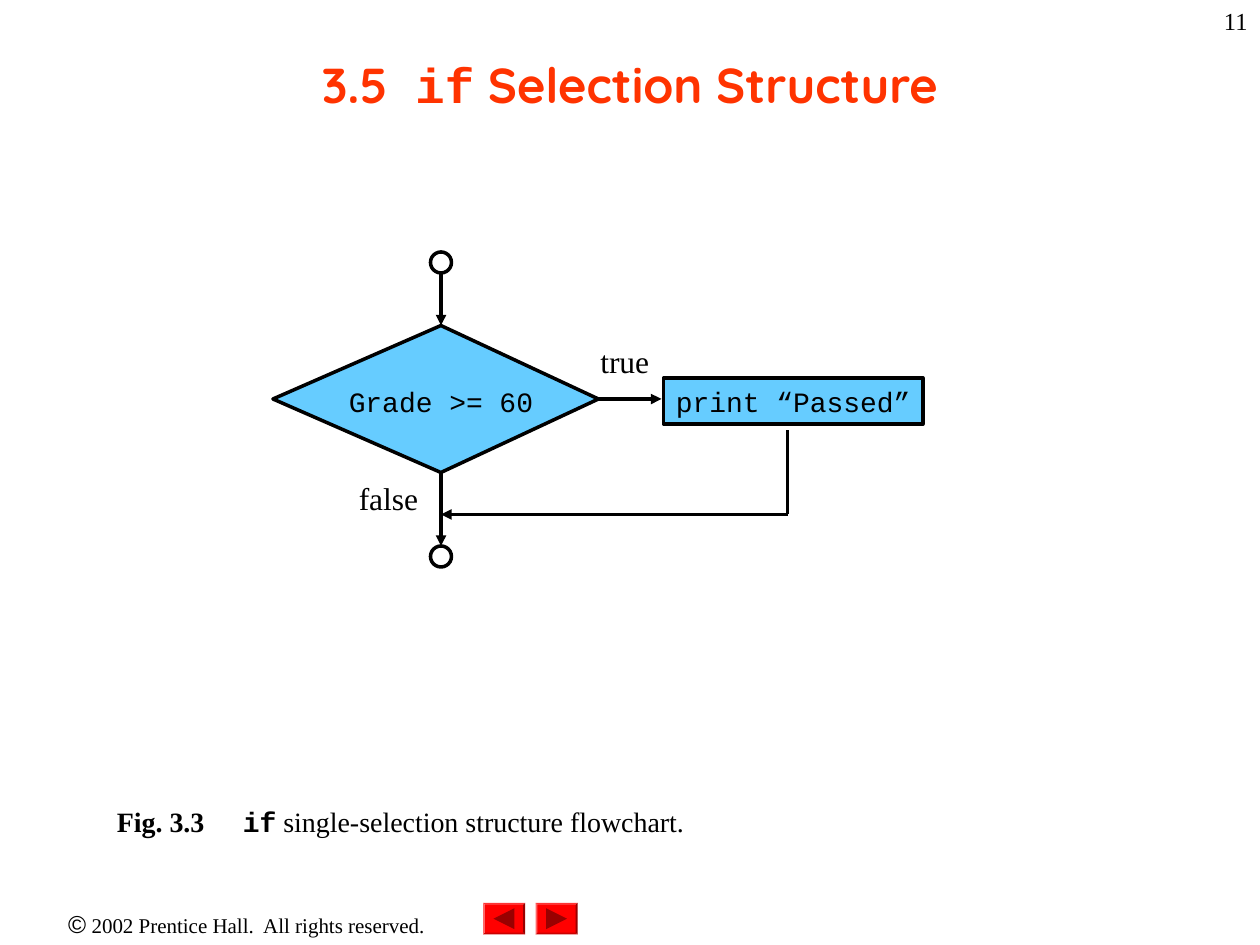
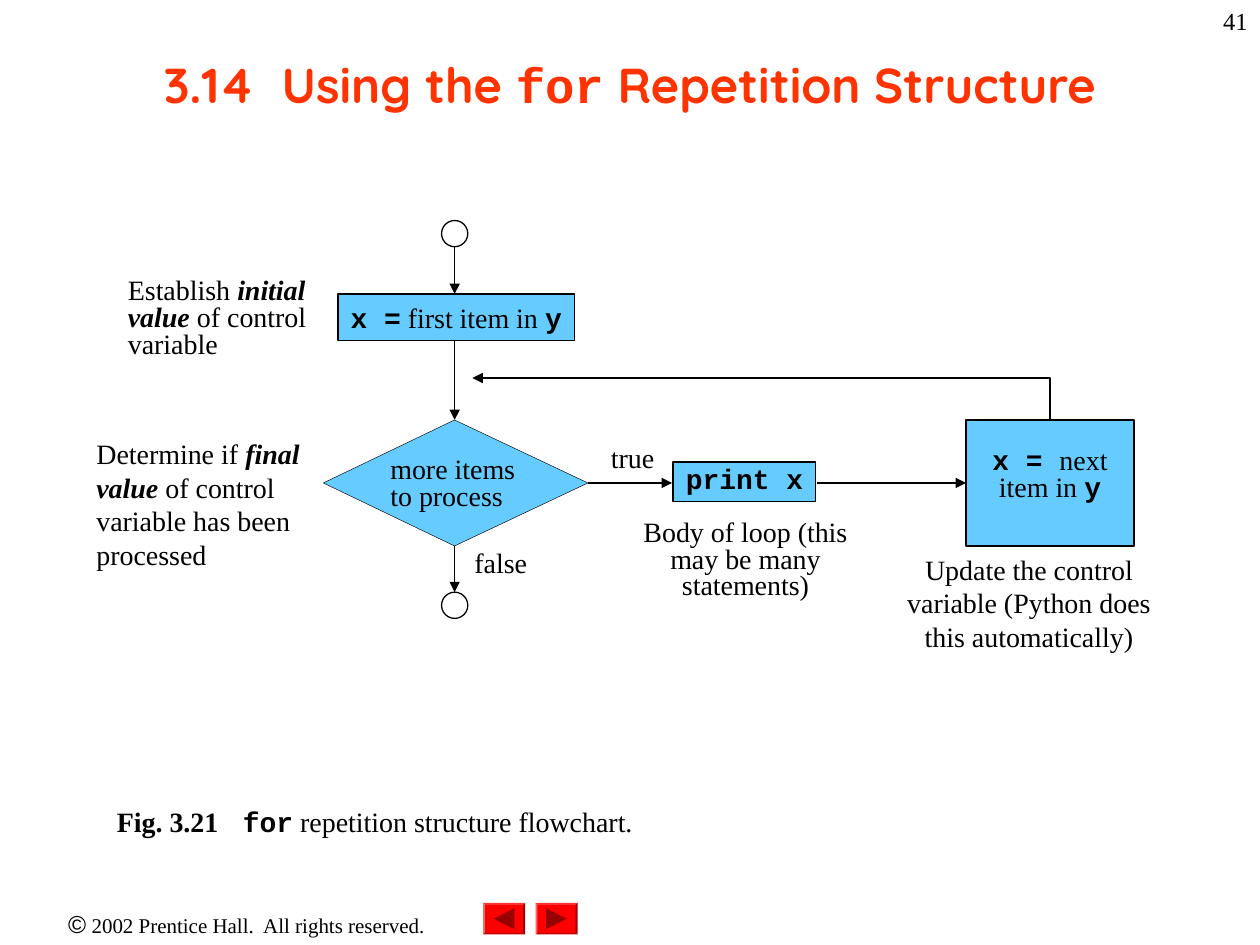
from dataclasses import dataclass

from lxml import etree
from pptx import Presentation
from pptx.dml.color import RGBColor
from pptx.enum.shapes import MSO_CONNECTOR, MSO_SHAPE
from pptx.enum.text import MSO_ANCHOR, PP_ALIGN
from pptx.oxml.ns import qn
from pptx.util import Emu, Inches, Pt

LEFT, CENTER, RIGHT = PP_ALIGN.LEFT, PP_ALIGN.CENTER, PP_ALIGN.RIGHT
TOP, MIDDLE = MSO_ANCHOR.TOP, MSO_ANCHOR.MIDDLE
RECT, OVAL, BEVEL = MSO_SHAPE.RECTANGLE, MSO_SHAPE.OVAL, MSO_SHAPE.BEVEL
STRAIGHT, ELBOW = MSO_CONNECTOR.STRAIGHT, MSO_CONNECTOR.ELBOW

SLIDE_W, SLIDE_H = Inches(10), Inches(7.5)
COLS = 120
UNIT = SLIDE_W // COLS


@dataclass(frozen=True)
class Style:
    font: str
    size: int
    color: str = "000000"
    bold: bool = False
    italic: bool = False


@dataclass(frozen=True)
class Theme:
    black: str = "000000"
    white: str = "FFFFFF"
    node: str = "66CCFF"
    button: str = "FF0000"
    glyph: str = "990000"
    title: Style = Style("Quicksand", 28, "FF3300", True)
    title_code: Style = Style("Courier New", 28, "FF3300", True)
    body: Style = Style("Times New Roman", 16)
    strong: Style = Style("Times New Roman", 16, bold=True)
    emphasis: Style = Style("Times New Roman", 16, bold=True, italic=True)
    code: Style = Style("Courier New", 16)
    strong_code: Style = Style("Courier New", 16, bold=True)
    branch: Style = Style("Times New Roman", 18)
    number: Style = Style("Times New Roman", 14)
    mark: Style = Style("Arial", 14)
    rights: Style = Style("Times New Roman", 12)


T = Theme()


def rgb(color):
    return RGBColor.from_string(color)


def paint(sp, fill, weight=0):
    sp.shadow.inherit = False
    sp.fill.solid()
    sp.fill.fore_color.rgb = rgb(fill)
    if weight:
        sp.line.color.rgb = rgb(T.black)
        sp.line.width = Pt(weight)
    else:
        sp.line.fill.background()


def write(sp, runs, align, anchor=TOP, wrap=True, spacing=None, tab=None):
    tf = sp.text_frame
    tf.word_wrap = wrap
    tf.vertical_anchor = anchor
    p = tf.paragraphs[0]
    p.alignment = align
    if spacing:
        p.line_spacing = spacing
    if tab:
        tabs = etree.SubElement(p._p.get_or_add_pPr(), qn("a:tabLst"))
        etree.SubElement(tabs, qn("a:tab"), pos=str(Emu(tab * UNIT)), algn="l")
    for text, style in runs:
        r = p.add_run()
        r.text = text
        r.font.name = style.font
        r.font.size = Pt(style.size)
        r.font.bold = style.bold
        r.font.italic = style.italic
        r.font.color.rgb = rgb(style.color)


class Region:
    def __init__(self, slide, col, row, weight=0):
        self.shapes = slide.shapes
        self.col, self.row, self.weight = col, row, weight

    def at(self, col, row):
        return round((self.col + col) * UNIT), round((self.row + row) * UNIT)

    def frame(self, col, row, cols, rows):
        return *self.at(col, row), round(cols * UNIT), round(rows * UNIT)

    def text(self, box, runs, align=LEFT, **options):
        sp = self.shapes.add_textbox(*self.frame(*box))
        write(sp, runs, align, **options)

    def shape(self, kind, box, fill):
        sp = self.shapes.add_shape(kind, *self.frame(*box))
        paint(sp, fill, self.weight)
        return sp

    def node(self, box, runs, **options):
        write(self.shape(RECT, box, T.node), runs, CENTER, wrap=False, **options)

    def polygon(self, points, fill, weight=0):
        start, *rest = [self.at(*point) for point in points]
        builder = self.shapes.build_freeform(*start)
        builder.add_line_segments(rest, close=True)
        paint(builder.convert_to_shape(), fill, weight)

    def line(self, start, end, arrow="tailEnd", kind=STRAIGHT):
        cxn = self.shapes.add_connector(kind, *self.at(*start), *self.at(*end))
        cxn.line.color.rgb = rgb(T.black)
        cxn.line.width = Pt(self.weight)
        props = cxn._element.spPr
        if kind == ELBOW:
            props.find(qn("a:prstGeom")).set("prst", "bentConnector2")
        if arrow:
            etree.SubElement(props.find(qn("a:ln")), qn(f"a:{arrow}"), type="triangle")
        etree.SubElement(props, qn("a:effectLst"))


def nav_button(slide, col, row, direction):
    area = Region(slide, col, row)
    area.shape(BEVEL, (0, 0, 4, 3), T.button).adjustments[0] = 0.06
    back, tip = 2 - direction, 2 + direction
    area.polygon([(back, 0.5), (tip, 1.5), (back, 2.5)], T.glyph)


def footer(slide, row):
    area = Region(slide, 0, row)
    rights = [("©", T.mark), (" 2002 Prentice Hall.  All rights reserved.", T.rights)]
    area.text((0, 0, 47, 4), rights, CENTER)
    for col, direction in ((46, -1), (51, 1)):
        nav_button(slide, col, row, direction)


def heading(slide, before, keyword, after, number):
    area = Region(slide, 0, 0)
    runs = [(before, T.title), (keyword, T.title_code), (after, T.title)]
    area.text((9, 1, 102, 14), runs, CENTER, anchor=MIDDLE)
    area.text((95, 0, 25, 6), [(number, T.number)], RIGHT)


def caption(slide, col, row, figure, keyword, rest):
    runs = [(f"{figure}\t", T.strong), (keyword, T.strong_code), (rest, T.body)]
    Region(slide, col, row).text((0, 0, 74, 4.4), runs, tab=12)


def figure_slide(prs, number, title, legend, diagram):
    slide = prs.slides.add_slide(prs.slide_layouts[6])
    footer(slide, 86)
    heading(slide, *title, number)
    caption(slide, 9.95, 76.03, *legend)
    diagram(slide)


def if_flowchart(slide, col=26, row=24):
    area = Region(slide, col, row, weight=2)
    axis, middle, merge = 16, 14, 25
    area.node((37.2, 12, 24.7, 4.4), [("print “Passed”", T.code)])
    decision = [(0, middle), (axis, 7), (31, middle), (axis, 21)]
    area.polygon(decision, T.node, area.weight)
    area.text((6, 12, 20, 4.4), [("Grade >= 60", T.code)], CENTER, wrap=False)
    for top in (0, 28):
        area.shape(OVAL, (axis - 1, top, 2, 2), T.white)
    area.line((axis, 2), (axis, 7))
    area.line((axis, 21), (axis, 28))
    area.line((31, middle), (37, middle))
    area.line((49, merge), (axis, merge))
    area.line((49, merge), (49, 17), arrow=None)
    for word, box in (("true", (28.5, 8, 10, 4.8)), ("false", (6, 21, 10, 4.8))):
        area.text(box, [(word, T.branch)], CENTER, wrap=False)


def for_flowchart(slide, col=8, row=21):
    area = Region(slide, col, row, weight=0.75)
    axis, middle, tight = 35.3, 25, 0.8
    decision = [(22.8, middle), (axis, 19), (48, middle), (axis, 31)]
    area.polygon(decision, T.node, 0.25)
    area.text((28, 22, 14.9, 6.4), [("more items to process", T.body)], spacing=tight)

    start = [("Establish ", T.body), ("initial value", T.emphasis),
             (" of control variable", T.body)]
    area.text((3, 5, 20, 8.9), start, spacing=tight)
    check = [("Determine if ", T.body), ("final value", T.emphasis),
             (" of control variable has been processed", T.body)]
    area.text((0, 20, 22, 14), check)
    area.text((52, 28, 22, 8.9),
              [("Body of loop (this may be many statements)", T.body)],
              CENTER, spacing=tight)
    area.text((77, 31, 26, 10.8),
              [("Update the control variable (Python does this automatically)", T.body)],
              CENTER)
    for word, box in (("true", (49, 21, 8, 3.8)), ("false", (36, 31, 9, 3.8))):
        area.text(box, [(word, T.body)], spacing=tight)

    def assignment(target, item):
        return [(target, T.strong_code), (item, T.body), ("y", T.strong_code)]

    area.node((24.2, 7, 22.5, 4.4), assignment("x =", " first item in "))
    area.node((56.1, 23, 13.6, 3.8), [("print x", T.strong_code)], spacing=tight)
    area.shape(RECT, (84, 19, 16, 12), T.node)
    area.text((85, 21.2, 14, 6.4), assignment("x = ", "next item in "),
              CENTER, spacing=tight)

    for top in (0, 35.4):
        area.shape(OVAL, (axis - 1.25, top, 2.5, 2.5), T.white)
    for top, bottom in ((2.5, 7), (11.5, 19), (31, 35.4)):
        area.line((axis, top), (axis, bottom))
    for left, right in ((48, 56), (69.8, 84)):
        area.line((left, middle), (right, middle))
    area.line((37, 15), (92, 19), arrow="headEnd", kind=ELBOW)


def main():
    prs = Presentation()
    prs.slide_width, prs.slide_height = SLIDE_W, SLIDE_H
    figure_slide(prs, "11", ("3.5  ", "if", " Selection Structure"),
                 ("Fig. 3.3", "if", " single-selection structure flowchart."),
                 if_flowchart)
    figure_slide(prs, "41", ("3.14  Using the ", "for", " Repetition Structure"),
                 ("Fig. 3.21", "for", " repetition structure flowchart."),
                 for_flowchart)
    prs.save("out.pptx")


if __name__ == "__main__":
    main()
